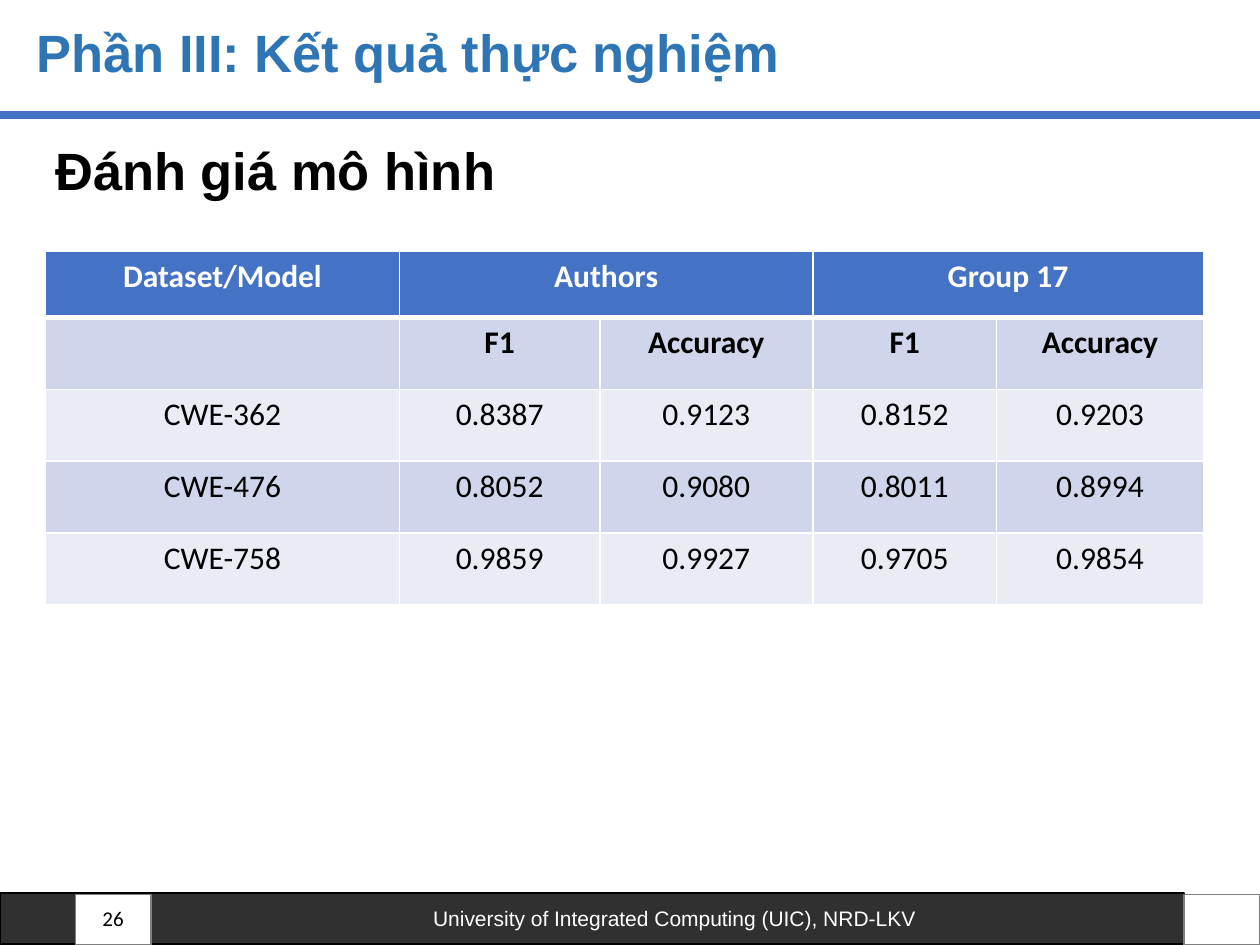
from lxml.etree import SubElement
from pptx import Presentation
from pptx.dml.color import RGBColor
from pptx.enum.shapes import MSO_CONNECTOR, MSO_SHAPE
from pptx.enum.text import MSO_ANCHOR, PP_ALIGN
from pptx.oxml.ns import qn
from pptx.util import Pt

COLORS = {
    "black": "000000",
    "white": "FFFFFF",
    "gray": "808080",
    "title": "2E75B6",
    "accent": "4472C4",
    "band_dark": "CFD5EA",
    "band_light": "E9EBF5",
}
HEADING = {"name": "Arial", "size": Pt(30), "bold": True}
FOOTER = {"name": "Arial", "size": Pt(12)}
NUMBER = {"name": "Calibri", "size": Pt(12)}
CELL = {"name": "Calibri", "size": Pt(18)}

COLUMN_WIDTHS = [202.3, 114.5, 121.7, 105.1, 118.1]
ROW_HEIGHTS = [38.2, 41, 41, 41, 41]
RESULTS = [
    ["Dataset/Model", "Authors", "", "Group 17", ""],
    ["", "F1", "Accuracy", "F1", "Accuracy"],
    ["CWE-362", "0.8387", "0.9123", "0.8152", "0.9203"],
    ["CWE-476", "0.8052", "0.9080", "0.8011", "0.8994"],
    ["CWE-758", "0.9859", "0.9927", "0.9705", "0.9854"],
]


def color(name):
    return RGBColor.from_string(COLORS[name])


def write(frame, text, style, ink, align=PP_ALIGN.LEFT, **font_values):
    para = frame.paragraphs[0]
    para.alignment = align
    span = para.add_run()
    span.text = text
    for key, value in {**style, **font_values}.items():
        setattr(span.font, key, value)
    span.font.color.rgb = color(ink)
    return para


def add_text(page, bounds, text, style, ink, align=PP_ALIGN.LEFT, anchor=MSO_ANCHOR.TOP):
    box = page.shapes.add_textbox(*map(Pt, bounds))
    box.text_frame.word_wrap = True
    box.text_frame.vertical_anchor = anchor
    return write(box.text_frame, text, style, ink, align)


def add_box(page, bounds, fill, line):
    box = page.shapes.add_shape(MSO_SHAPE.RECTANGLE, *map(Pt, bounds))
    box.shadow.inherit = False
    box.fill.solid()
    box.fill.fore_color.rgb = color(fill)
    box.line.color.rgb = color(line)
    box.line.width = Pt(1)
    return box


def add_footer(page):
    bar = add_box(page, (0, 510.5, 676.8, 28.8), "black", "black")
    fill_color = bar.fill._xPr.find(qn("a:solidFill"))[0]
    SubElement(fill_color, qn("a:alpha"), val="81000")
    # The wide left margin centres the name beyond the number box
    margins = {"margin_left": 105.1, "margin_right": 10.8, "margin_top": 5, "margin_bottom": 5}
    for key, value in margins.items():
        setattr(bar.text_frame, key, Pt(value))
    bar.text_frame.word_wrap = True
    bar.text_frame.vertical_anchor = MSO_ANCHOR.MIDDLE
    write(bar.text_frame, "University of Integrated Computing (UIC), NRD-LKV",
          FOOTER, "white", PP_ALIGN.CENTER)
    for left in (43.2, 676.8):
        add_box(page, (left, 511.2, 43.2, 28.8), "white", "gray")


def add_rule(page, top):
    rule = page.shapes.add_connector(MSO_CONNECTOR.STRAIGHT, 0, Pt(top), Pt(720), Pt(top))
    rule.line.color.rgb = color("accent")
    rule.line.width = Pt(4.5)
    SubElement(rule._element.spPr, qn("a:effectLst"))


def set_borders(cell, bottom):
    properties = cell._tc.get_or_add_tcPr()
    widths = {"a:lnL": 1, "a:lnR": 1, "a:lnT": 1, "a:lnB": bottom}
    for index, (tag, width) in enumerate(widths.items()):
        border = SubElement(properties, qn(tag), w=str(Pt(width)))
        properties.insert(index, border)
        fill = SubElement(border, qn("a:solidFill"))
        SubElement(fill, qn("a:srgbClr"), val=COLORS["white"])


def add_results(page):
    frame = page.shapes.add_table(
        len(RESULTS), len(COLUMN_WIDTHS), Pt(26), Pt(143.3),
        Pt(sum(COLUMN_WIDTHS)), Pt(sum(ROW_HEIGHTS)))
    table = frame.table
    for column, width in zip(table.columns, COLUMN_WIDTHS):
        column.width = Pt(width)
    for row, height in zip(table.rows, ROW_HEIGHTS):
        row.height = Pt(height)
    # Each group heading covers its F1 and accuracy columns
    for first in (1, 3):
        table.cell(0, first).merge(table.cell(0, first + 1))

    fills = ["accent", "band_dark", "band_light", "band_dark", "band_light"]
    for row_index, values in enumerate(RESULTS):
        is_header = row_index == 0
        for column_index, text in enumerate(values):
            cell = table.cell(row_index, column_index)
            cell.fill.solid()
            cell.fill.fore_color.rgb = color(fills[row_index])
            set_borders(cell, 3 if is_header else 1)
            if text:
                write(cell.text_frame, text, CELL, "white" if is_header else "black",
                      PP_ALIGN.CENTER, bold=row_index < 2)


def main():
    deck = Presentation()
    deck.slide_width, deck.slide_height = Pt(720), Pt(540)
    page = deck.slides.add_slide(deck.slide_layouts[6])

    # Frame of the page
    add_footer(page)
    add_rule(page, 65.5)

    # Headings and page number
    title = add_text(page, (13.7, 11.5, 646.6, 40.3), "Phần III: Kết quả thực nghiệm",
                     HEADING, "title", anchor=MSO_ANCHOR.MIDDLE)
    title.line_spacing = 0.9
    add_text(page, (46.1, 510.5, 31.7, 28.8), "26", NUMBER, "black",
             PP_ALIGN.RIGHT, MSO_ANCHOR.MIDDLE)
    add_text(page, (24.5, 75.6, 663.1, 43.9), "Đánh giá mô hình", HEADING, "black")

    # Scores of both groups
    add_results(page)
    deck.save("out.pptx")


if __name__ == "__main__":
    main()
